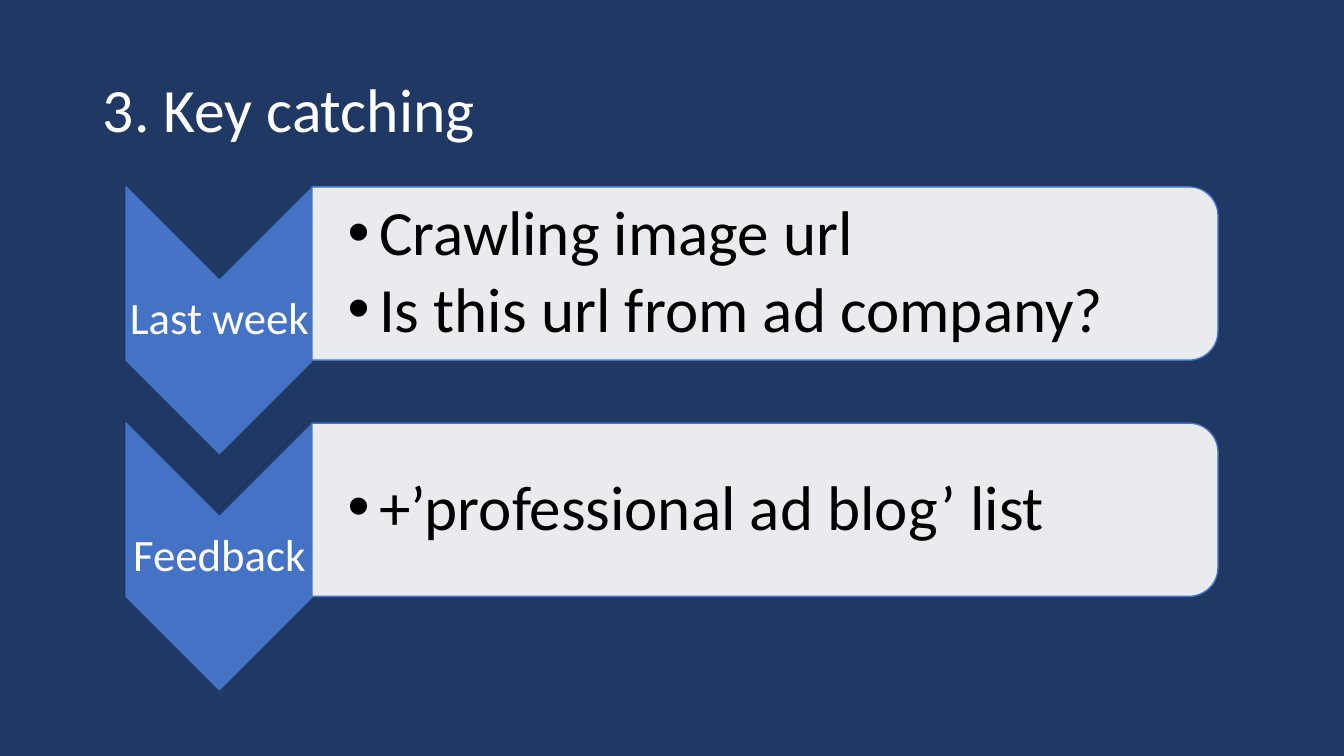
from dataclasses import dataclass

from lxml.etree import SubElement
from pptx import Presentation
from pptx.dml.color import RGBColor
from pptx.enum.shapes import MSO_SHAPE as Preset
from pptx.enum.text import MSO_ANCHOR as Anchor, MSO_AUTO_SIZE as AutoSize, PP_ALIGN as Align
from pptx.oxml.ns import qn
from pptx.util import Pt

PX = 9525  # EMU per pixel, at 96 pixels to the inch


@dataclass(frozen=True)
class Theme:
    font: str = "Calibri"
    navy: str = "203864"
    blue: str = "4472C4"
    white: str = "FFFFFF"
    black: str = "000000"
    panel_alpha: int = 90
    title_size: int = 44
    label_size: int = 32
    item_size: int = 45


THEME = Theme()

STAGES = [
    ("Last week", ["Crawling image url", "Is this url from ad company?"]),
    ("Feedback", ["+’professional ad blog’ list"]),
]
STAGE_TOP, STAGE_STEP = 178, 225
CHEVRON_LEFT, CHEVRON_WIDTH, CHEVRON_HEIGHT = 120, 178, 254
PANEL_LEFT, PANEL_WIDTH, PANEL_HEIGHT = 297, 863, 165


def rgb(colour):
    return RGBColor.from_string(colour)


def place(shape, left, top, width, height):
    shape.left, shape.top = left * PX, top * PX
    shape.width, shape.height = width * PX, height * PX


def set_frame(frame, side=0, edge=0):
    """Centre the text vertically, wrapped, with the given insets."""
    frame.word_wrap = True
    frame.auto_size = AutoSize.NONE
    frame.vertical_anchor = Anchor.MIDDLE
    frame.margin_left = side * PX
    frame.margin_right = frame.margin_top = frame.margin_bottom = edge * PX


def style(paragraph, size, colour, align=Align.LEFT, after=0):
    paragraph.alignment = align
    paragraph.line_spacing = 0.9
    paragraph.space_before, paragraph.space_after = Pt(0), Pt(after)
    for run in paragraph.runs:
        run.font.name = THEME.font
        run.font.size = Pt(size)
        run.font.color.rgb = rgb(colour)


def set_bullet(paragraph, indent):
    props = paragraph._p.get_or_add_pPr()
    props.set("marL", str(indent * PX))
    props.set("indent", str(-indent * PX))
    SubElement(props, qn("a:buFont"), typeface="Arial")
    SubElement(props, qn("a:buChar"), char="•")


def add_turned(slide, preset, left, top, width, height, fill):
    """Add a preset turned by 90 degrees that covers the given box as seen."""
    shift = (width - height) / 2
    shape = slide.shapes.add_shape(
        preset, int((left + shift) * PX), int((top - shift) * PX), height * PX, width * PX)
    shape.rotation = 90
    shape.shadow.inherit = False
    shape.fill.solid()
    shape.fill.fore_color.rgb = rgb(fill)
    shape.line.color.rgb = rgb(THEME.blue)
    shape.line.width = Pt(1)
    return shape


def set_title(title, text):
    place(title, 88, 38, 1104, 139)
    title.text_frame.text = text
    set_frame(title.text_frame, side=10, edge=5)
    style(title.text_frame.paragraphs[0], THEME.title_size, THEME.white)


def add_chevron(slide, top, text):
    add_turned(slide, Preset.CHEVRON, CHEVRON_LEFT, top,
               CHEVRON_WIDTH, CHEVRON_HEIGHT, THEME.blue)
    label = slide.shapes.add_textbox(0, 0, 0, 0)
    place(label, CHEVRON_LEFT, top + 89, CHEVRON_WIDTH, 76)
    label.text_frame.text = text
    set_frame(label.text_frame, side=2, edge=2)
    style(label.text_frame.paragraphs[0], THEME.label_size, THEME.white, Align.CENTER)


def add_panel(slide, top, body, items):
    panel = add_turned(slide, Preset.ROUND_2_SAME_RECTANGLE, PANEL_LEFT, top,
                       PANEL_WIDTH, PANEL_HEIGHT, THEME.white)
    tint = panel.fill._xPr.find(qn("a:solidFill"))[0]
    SubElement(tint, qn("a:alpha"), val=str(THEME.panel_alpha * 1000))

    # The list sits in front of its panel
    panel.element.addnext(body.element)
    place(body, PANEL_LEFT, top + 8, PANEL_WIDTH - 8, PANEL_HEIGHT - 16)
    body.text_frame.text = "\n".join(items)
    set_frame(body.text_frame, side=34, edge=3)
    for item in body.text_frame.paragraphs:
        style(item, THEME.item_size, THEME.black, after=6)
        set_bullet(item, 30)


def main():
    deck = Presentation()
    deck.slide_width, deck.slide_height = 1280 * PX, 720 * PX
    slide = deck.slides.add_slide(deck.slide_layouts.get_by_name("Two Content"))
    slide.background.fill.solid()
    slide.background.fill.fore_color.rgb = rgb(THEME.navy)

    title, *bodies = slide.placeholders
    set_title(title, "3. Key catching")

    # One chevron and one panel per stage
    for index, (body, (label, items)) in enumerate(zip(bodies, STAGES)):
        top = STAGE_TOP + index * STAGE_STEP
        add_chevron(slide, top, label)
        add_panel(slide, top, body, items)

    deck.save("out.pptx")


if __name__ == "__main__":
    main()
